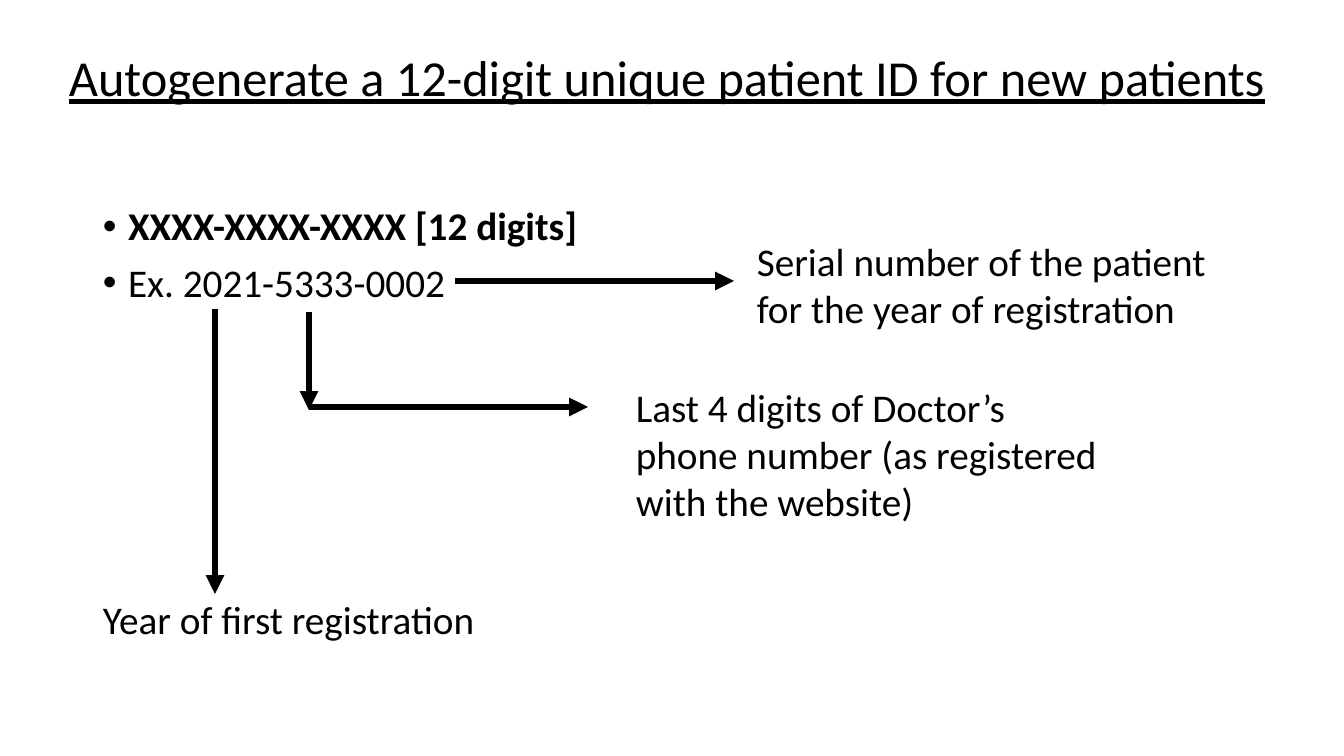
from dataclasses import dataclass
from typing import Any

from pptx import Presentation
from pptx import util as u
from pptx.dml.color import RGBColor
from pptx.enum import shapes, text
from pptx.oxml.ns import qn
from lxml import etree

SCALE = 914400 / 100.8
HUES = {"ink": "000000", "page": "FFFFFF"}
BODY = {"name": "Calibri", "size": u.Pt(28), "bold": False}
BOLD = BODY | {"bold": True}
HEAD = BODY | {"size": u.Pt(36), "underline": True}
TIGHT = {"line_spacing": 0.9}
LIST = TIGHT | {"space_before": u.Pt(10)}
LOOSE = {"line_spacing": 1.0}


@dataclass(frozen=True)
class Line:
    words: str
    font: dict[str, Any]
    form: dict[str, Any]
    dot: bool = False


@dataclass(frozen=True)
class Box:
    left: int
    top: int
    wide: int
    high: int
    lines: tuple[Line, ...]
    mid: bool = False


@dataclass(frozen=True)
class Arrow:
    left: int
    top: int
    right: int
    low: int


BOXES = (
    Box(59, 7, 1272, 146, (
        Line("Autogenerate a 12-digit unique patient ID for new patients", HEAD, TIGHT),
    ), mid=True),
    Box(93, 202, 600, 110, (
        Line("XXXX-XXXX-XXXX [12 digits]", BOLD, TIGHT, dot=True),
        Line("Ex. 2021-5333-0002", BODY, LIST, dot=True),
    )),
    Box(93, 596, 600, 53, (Line("Year of first registration", BODY, TIGHT),)),
    Box(626, 378, 491, 152, (
        Line("Last 4 digits of Doctor’s phone number (as registered with the website)", BODY, LOOSE),
    )),
    Box(747, 232, 491, 105, (
        Line("Serial number of the patient for the year of registration", BODY, LOOSE),
    )),
)
ARROWS = (
    Arrow(215, 309, 215, 594),
    Arrow(309, 312, 309, 410),
    Arrow(309, 407, 588, 407),
    Arrow(455, 281, 734, 281),
)


def px(size: int) -> u.Emu:
    return u.Emu(round(size * SCALE))


def hue(name: str) -> RGBColor:
    return RGBColor.from_string(HUES[name])


def style(item: Any, form: dict[str, Any]) -> None:
    for key, val in form.items():
        setattr(item, key, val)


def add_dot(para: Any) -> None:
    props = para._p.get_or_add_pPr()
    props.set("marL", str(u.Inches(0.25)))
    props.set("indent", str(-u.Inches(0.25)))
    etree.SubElement(props, qn("a:buFont")).set("typeface", "Arial")
    etree.SubElement(props, qn("a:buChar")).set("char", "•")


def draw_box(slide: Any, box: Box) -> None:
    frame = slide.shapes.add_textbox(
        px(box.left), px(box.top), px(box.wide), px(box.high)).text_frame
    anchor = text.MSO_ANCHOR.MIDDLE if box.mid else text.MSO_ANCHOR.TOP
    style(frame, {"word_wrap": True, "vertical_anchor": anchor})
    for rank, line in enumerate(box.lines):
        para = frame.add_paragraph() if rank else frame.paragraphs[0]
        style(para, line.form)
        if line.dot:
            add_dot(para)
        run = para.add_run()
        run.text = line.words
        style(run.font, line.font)
        run.font.color.rgb = hue("ink")


def draw_arrow(slide: Any, arrow: Arrow) -> None:
    link = slide.shapes.add_connector(
        shapes.MSO_CONNECTOR.STRAIGHT,
        px(arrow.left), px(arrow.top), px(arrow.right), px(arrow.low))
    link.line.width = u.Pt(4.5)
    link.line.color.rgb = hue("ink")
    etree.SubElement(link.line._get_or_add_ln(), qn("a:tailEnd")).set("type", "triangle")
    etree.SubElement(link._element.spPr, qn("a:effectLst"))


def main() -> None:
    deck = Presentation()
    style(deck, {"slide_width": px(1344), "slide_height": px(756)})
    slide = deck.slides.add_slide(deck.slide_layouts[6])
    fill = slide.background.fill
    fill.solid()
    fill.fore_color.rgb = hue("page")
    for arrow in ARROWS:
        draw_arrow(slide, arrow)
    for box in BOXES:
        draw_box(slide, box)
    deck.save("out.pptx")


main()
